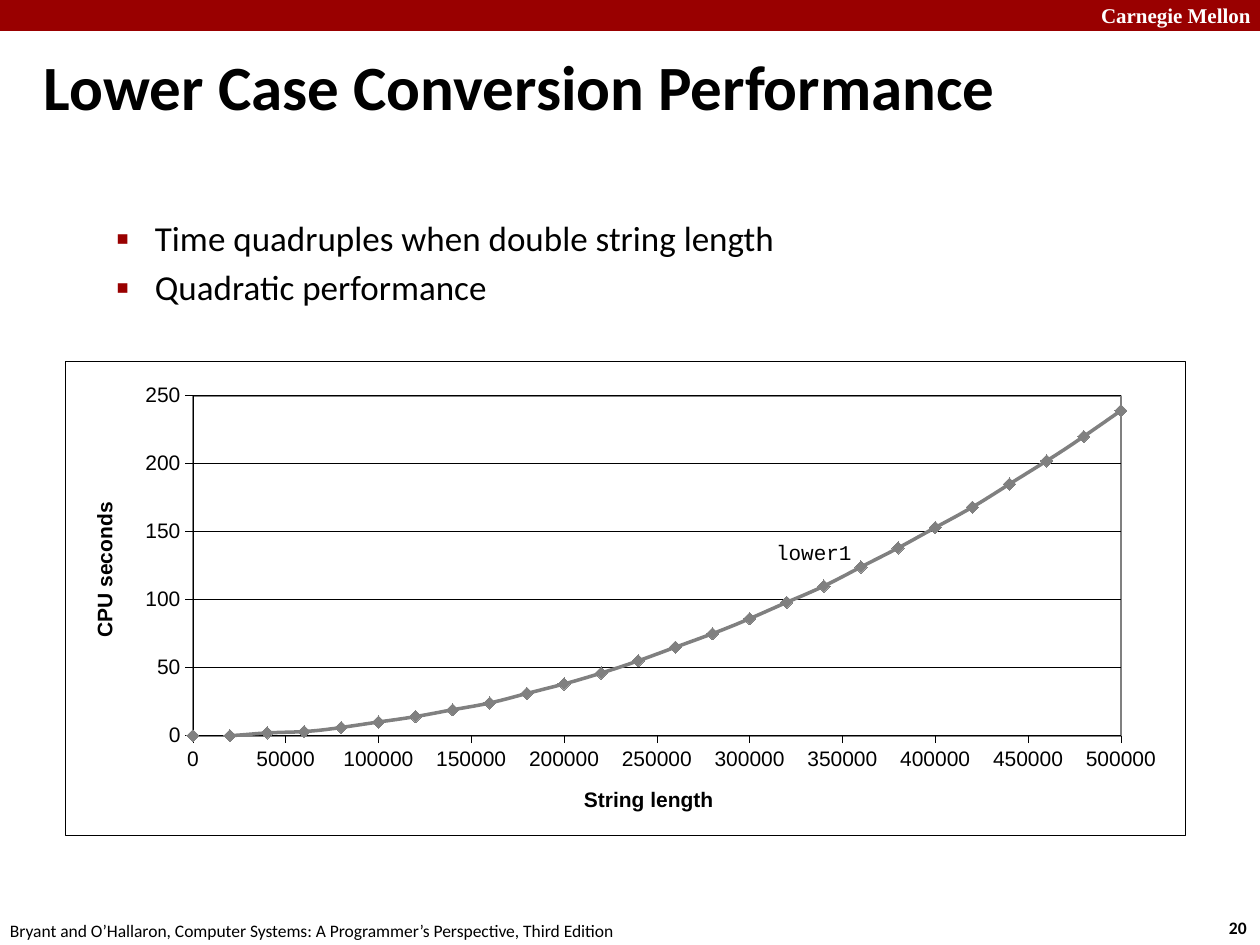
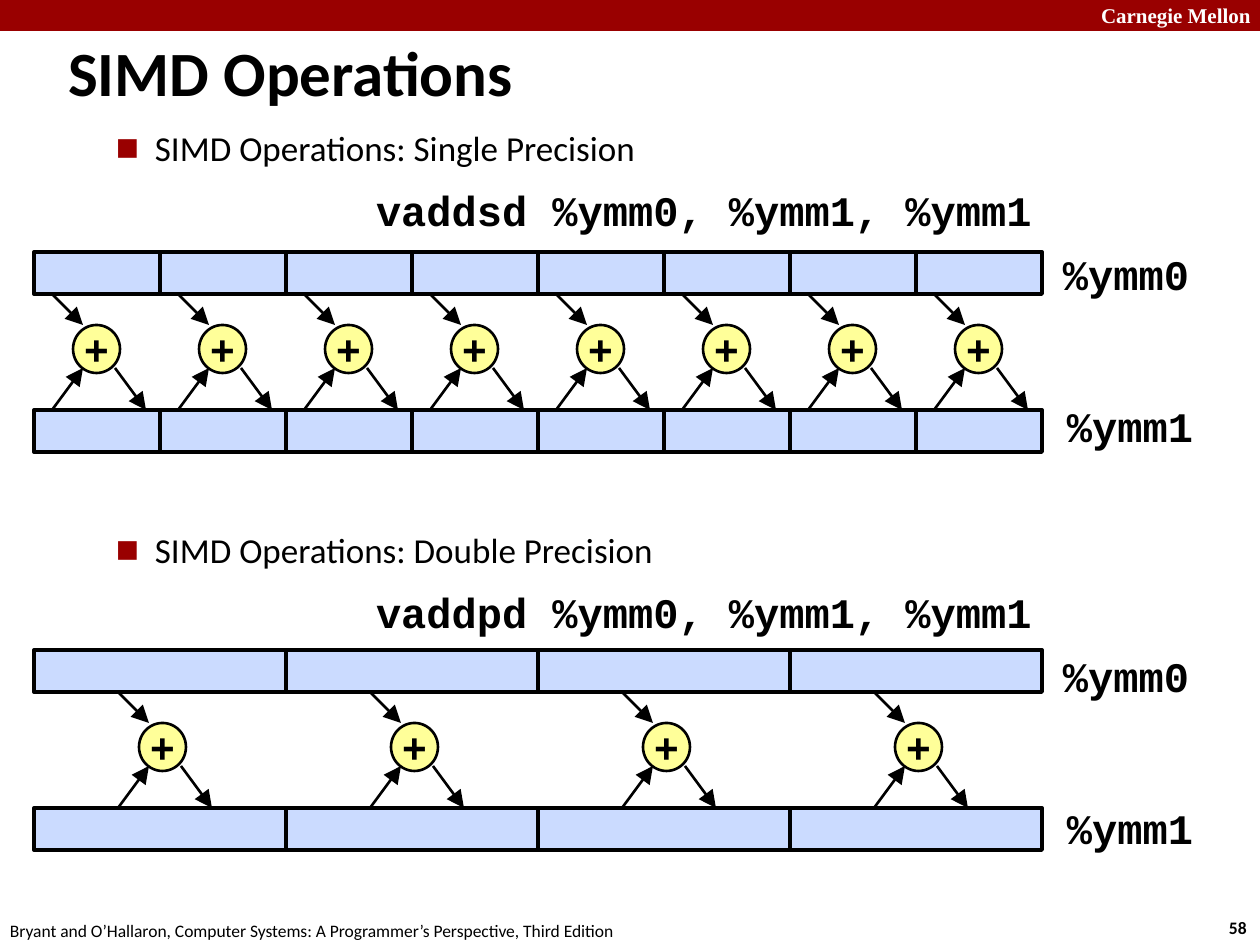
"""Build two lecture slides on string conversion cost and SIMD operations."""
from dataclasses import dataclass

from lxml import etree
from pptx import Presentation
from pptx.chart.data import XyChartData
from pptx.dml.color import RGBColor
from pptx.enum.chart import XL_CHART_TYPE, XL_MARKER_STYLE, XL_TICK_MARK
from pptx.enum.shapes import MSO_CONNECTOR, MSO_SHAPE
from pptx.enum.text import MSO_ANCHOR, PP_ALIGN
from pptx.oxml import parse_xml
from pptx.oxml.ns import nsdecls, qn
from pptx.util import Emu, Pt

SCATTER = XL_CHART_TYPE.XY_SCATTER_SMOOTH
DIAMOND = XL_MARKER_STYLE.DIAMOND
TICK_OUT = XL_TICK_MARK.OUTSIDE
TICK_NONE = XL_TICK_MARK.NONE
RECTANGLE = MSO_SHAPE.RECTANGLE
OVAL = MSO_SHAPE.OVAL
STRAIGHT = MSO_CONNECTOR.STRAIGHT
TOP, MIDDLE = MSO_ANCHOR.TOP, MSO_ANCHOR.MIDDLE
CENTER = PP_ALIGN.CENTER

PX_PER_INCH = 126
WIDE_INSET = (13, 6, 13, 6)
EDGE_INSET = (13, 6, 0, 6)
TIGHT_INSET = (6, 6, 6, 6)

CPU_SECONDS = [0, 0, 2, 3, 6, 10, 14, 19, 24, 31, 38, 46, 55, 65, 75, 86, 98,
               110, 124, 138, 153, 168, 185, 202, 220, 239]
LENGTH_STEP = 20000


@dataclass(frozen=True)
class Theme:
    """Colours, fonts and type sizes used on every slide."""
    red: str = "990000"
    black: str = "000000"
    white: str = "FFFFFF"
    grey: str = "808080"
    register: str = "CBDBFF"
    adder: str = "FFFF99"
    body_font: str = "Calibri"
    code_font: str = "Courier New"
    plain_font: str = "Arial"
    banner_font: str = "Times New Roman"
    title_size: int = 36
    code_size: int = 24
    body_size: int = 20
    label_size: int = 12
    footer_size: int = 10


THEME = Theme()


def px(length):
    """Turn pixels into EMU."""
    return Emu(round(length * 914400 / PX_PER_INCH))


def rgb(colour):
    """Turn a hex string into a colour."""
    return RGBColor.from_string(colour)


def add_run(paragraph, text, size, font=THEME.body_font, colour=THEME.black, bold=False):
    """Add one formatted run to a paragraph."""
    run = paragraph.add_run()
    run.text = text
    run.font.size = Pt(size)
    run.font.name = font
    run.font.bold = bold
    run.font.color.rgb = rgb(colour)


def set_frame(frame, inset, wrap, anchor):
    """Set margins, wrapping and anchor of a text frame."""
    frame.margin_left, frame.margin_top, frame.margin_right, frame.margin_bottom = map(px, inset)
    frame.word_wrap = wrap
    frame.vertical_anchor = anchor


def add_frame(slide, box, inset=WIDE_INSET, wrap=False, anchor=TOP):
    """Add a text box and return its frame."""
    frame = slide.shapes.add_textbox(*map(px, box)).text_frame
    set_frame(frame, inset, wrap, anchor)
    return frame


def add_label(slide, box, text, size, inset=WIDE_INSET, anchor=TOP, **style):
    """Add a one-line text box."""
    frame = add_frame(slide, box, inset, anchor=anchor)
    add_run(frame.paragraphs[0], text, size, **style)


def add_code(slide, box, text):
    """Add a bold line of assembly code."""
    add_label(slide, box, text, THEME.code_size, TIGHT_INSET,
              font=THEME.code_font, bold=True)


def add_block(slide, kind, box, fill, line_width=None):
    """Add a filled shape with an optional black outline."""
    block = slide.shapes.add_shape(kind, *map(px, box))
    block.shadow.inherit = False
    block.fill.solid()
    block.fill.fore_color.rgb = rgb(fill)
    if line_width:
        block.line.color.rgb = rgb(THEME.black)
        block.line.width = Pt(line_width)
    else:
        block.line.fill.background()
    return block


def add_arrow(slide, start, end):
    """Add a straight arrow."""
    arrow = slide.shapes.add_connector(STRAIGHT, *map(px, start + end))
    arrow.line.color.rgb = rgb(THEME.black)
    arrow.line.width = Pt(1.5)
    etree.SubElement(arrow.line._get_or_add_ln(), qn("a:tailEnd"),
                     type="triangle", w="lg", len="lg")
    etree.SubElement(arrow._element.spPr, qn("a:effectLst"))


def add_bullets(slide, top, height, mark, lines):
    """Add the indented bullet list of a slide."""
    frame = add_frame(slide, (40, top, 1145, height), wrap=True)
    for index, line in enumerate(lines):
        paragraph = frame.add_paragraph() if index else frame.paragraphs[0]
        if index:
            paragraph.space_before = Pt(THEME.body_size * 0.2)
        props = paragraph._p.get_or_add_pPr()
        props.set("marL", str(px(102)))
        props.set("indent", str(-px(39)))
        colour = etree.SubElement(props, qn("a:buClr"))
        etree.SubElement(colour, qn("a:srgbClr"), val=THEME.red)
        etree.SubElement(props, qn("a:buSzPct"), val="110000")
        etree.SubElement(props, qn("a:buFont"), typeface=THEME.plain_font)
        etree.SubElement(props, qn("a:buChar"), char=mark)
        add_run(paragraph, line, THEME.body_size)


def start_slide(deck, title, title_box, number):
    """Add a blank slide with banner, title and footer."""
    slide = deck.slides.add_slide(deck.slide_layouts[6])
    add_block(slide, RECTANGLE, (0, 0, 1260, 31), THEME.red)
    add_label(slide, (1088, -3, 172, 38), "Carnegie Mellon", THEME.label_size, EDGE_INSET,
              font=THEME.banner_font, colour=THEME.white, bold=True)
    add_label(slide, (1216, 911, 44, 34), number, THEME.footer_size, EDGE_INSET, bold=True)
    add_label(slide, (-3, 914, 641, 34),
              "Bryant and O’Hallaron, Computer Systems: A Programmer’s Perspective, Third Edition",
              THEME.footer_size)
    add_label(slide, title_box, title, THEME.title_size, anchor=MIDDLE, bold=True)
    return slide


def manual_layout(x, y, w=None, h=None):
    """Return a chart layout element given as fractions of the chart."""
    layout = parse_xml(f"<c:layout {nsdecls('c')}><c:manualLayout/></c:layout>")
    values = {"xMode": "edge", "yMode": "edge", "x": x, "y": y}
    if w:
        values = {"layoutTarget": "inner", **values, "w": w, "h": h}
    for tag, value in values.items():
        etree.SubElement(layout[0], qn(f"c:{tag}"), val=str(value))
    return layout


def drop_layout(parent):
    """Remove the automatic layout of a chart part."""
    for layout in parent.findall(qn("c:layout")):
        parent.remove(layout)


def frame_props(fill, line, width):
    """Return chart shape properties with a fill and a border."""
    return parse_xml(
        f"<c:spPr {nsdecls('c', 'a')}><a:solidFill><a:srgbClr val='{fill}'/></a:solidFill>"
        f"<a:ln w='{Pt(width)}'><a:solidFill><a:srgbClr val='{line}'/></a:solidFill></a:ln></c:spPr>")


def thin_line(line_format):
    """Draw a chart line as a black hairline."""
    line_format.color.rgb = rgb(THEME.black)
    line_format.width = Pt(0.25)


def style_axis(axis, title, title_at, maximum, unit, rotation):
    """Set scale, ticks, line and title of an axis."""
    axis.minimum_scale, axis.maximum_scale, axis.major_unit = 0, maximum, unit
    axis.major_tick_mark, axis.minor_tick_mark = TICK_OUT, TICK_NONE
    axis.tick_labels.font.size = Pt(THEME.label_size)
    thin_line(axis.format.line)
    frame = axis.axis_title.text_frame
    add_run(frame.paragraphs[0], title, THEME.label_size, THEME.plain_font, bold=True)
    body = frame._txBody.bodyPr
    body.set("rot", str(rotation))
    body.set("vert", "horz")
    heading = axis.axis_title._element
    drop_layout(heading)
    heading.find(qn("c:tx")).addnext(manual_layout(*title_at))


def add_timing_chart(slide):
    """Add the chart of CPU time against string length."""
    data = XyChartData()
    timing = data.add_series("Series 1")
    for index, seconds in enumerate(CPU_SECONDS):
        timing.add_data_point(index * LENGTH_STEP, seconds)
    chart = slide.shapes.add_chart(SCATTER, *map(px, (65, 361, 1120, 474)), data).chart
    chart.has_legend = False
    chart.has_title = False
    chart.font.size = Pt(THEME.label_size)
    chart.font.name = THEME.plain_font
    chart.font.color.rgb = rgb(THEME.black)

    style_axis(chart.category_axis, "String length", (0.46, 0.89), 500000, 50000, 0)
    style_axis(chart.value_axis, "CPU seconds", (0.02, 0.29), 250, 50, -5400000)
    chart.category_axis.has_major_gridlines = False
    chart.value_axis.has_major_gridlines = True
    thin_line(chart.value_axis.major_gridlines.format.line)

    plot = chart.plots[0]
    plot.vary_by_categories = False
    curve = plot.series[0]
    curve._element.get_or_add_smooth().val = True
    curve.format.line.color.rgb = rgb(THEME.grey)
    curve.format.line.width = Pt(2)
    curve.marker.style = DIAMOND
    curve.marker.size = 7
    curve.marker.format.fill.solid()
    curve.marker.format.fill.fore_color.rgb = rgb(THEME.grey)
    curve.marker.format.line.color.rgb = rgb(THEME.grey)

    root = chart._chartSpace.find(qn("c:chart"))
    root.addprevious(parse_xml(f"<c:roundedCorners {nsdecls('c')} val='0'/>"))
    root.addnext(frame_props(THEME.white, THEME.black, 0.25))
    area = root.find(qn("c:plotArea"))
    drop_layout(area)
    area.insert(0, manual_layout(0.114, 0.073, 0.829, 0.718))
    area.append(frame_props(THEME.white, THEME.grey, 1))


def add_register(slide, top, lanes):
    """Add a register split into equal lanes."""
    width = 1008 // lanes
    for lane in range(lanes):
        add_block(slide, RECTANGLE, (34 + lane * width, top, width, 42), THEME.register, 2.25)


def add_adder(slide, left, top):
    """Add one plus sign with its two inputs and its output."""
    adder = add_block(slide, OVAL, (left, top + 73, 47, 48), THEME.adder, 1.5)
    set_frame(adder.text_frame, TIGHT_INSET, False, MIDDLE)
    sign = adder.text_frame.paragraphs[0]
    sign.alignment = CENTER
    add_run(sign, "+", THEME.code_size, THEME.code_font, bold=True)
    add_arrow(slide, (left - 21, top + 42), (left + 10, top + 73))
    add_arrow(slide, (left - 21, top + 158), (left + 10, top + 116))
    add_arrow(slide, (left + 42, top + 116), (left + 73, top + 158))


def add_simd_panel(slide, precision, instruction, top, register_top, lanes, adder_offset):
    """Add the heading, code and lane diagram of one SIMD instruction."""
    add_bullets(slide, top, 55, "■", [f"SIMD Operations: {precision} Precision"])
    add_code(slide, (370, top + 59, 674, 63), f"{instruction} %ymm0, %ymm1, %ymm1")
    add_code(slide, (1057, top + 123, 140, 63), "%ymm0")
    add_code(slide, (1061, top + 275, 140, 63), "%ymm1")
    add_register(slide, register_top, lanes)
    add_register(slide, register_top + 158, lanes)
    for lane in range(lanes):
        add_adder(slide, 34 + lane * 1008 // lanes + adder_offset, register_top)


def main():
    """Build and save the deck."""
    deck = Presentation()
    deck.slide_width, deck.slide_height = px(1260), px(945)

    performance = start_slide(deck, "Lower Case Conversion Performance", (31, 46, 1196, 79), "20")
    add_bullets(performance, 211, 125, "▪",
                ["Time quadruples when double string length", "Quadratic performance"])
    add_timing_chart(performance)
    add_label(performance, (772, 536, 81, 30), "lower1", THEME.label_size, (4, 4, 0, 0),
              font=THEME.code_font)

    simd = start_slide(deck, "SIMD Operations", (55, 18, 1201, 107), "58")
    add_simd_panel(simd, "Single", "vaddsd", 120, 252, 8, 39)
    add_simd_panel(simd, "Double", "vaddpd", 522, 650, 4, 105)

    deck.save("out.pptx")


if __name__ == "__main__":
    main()
